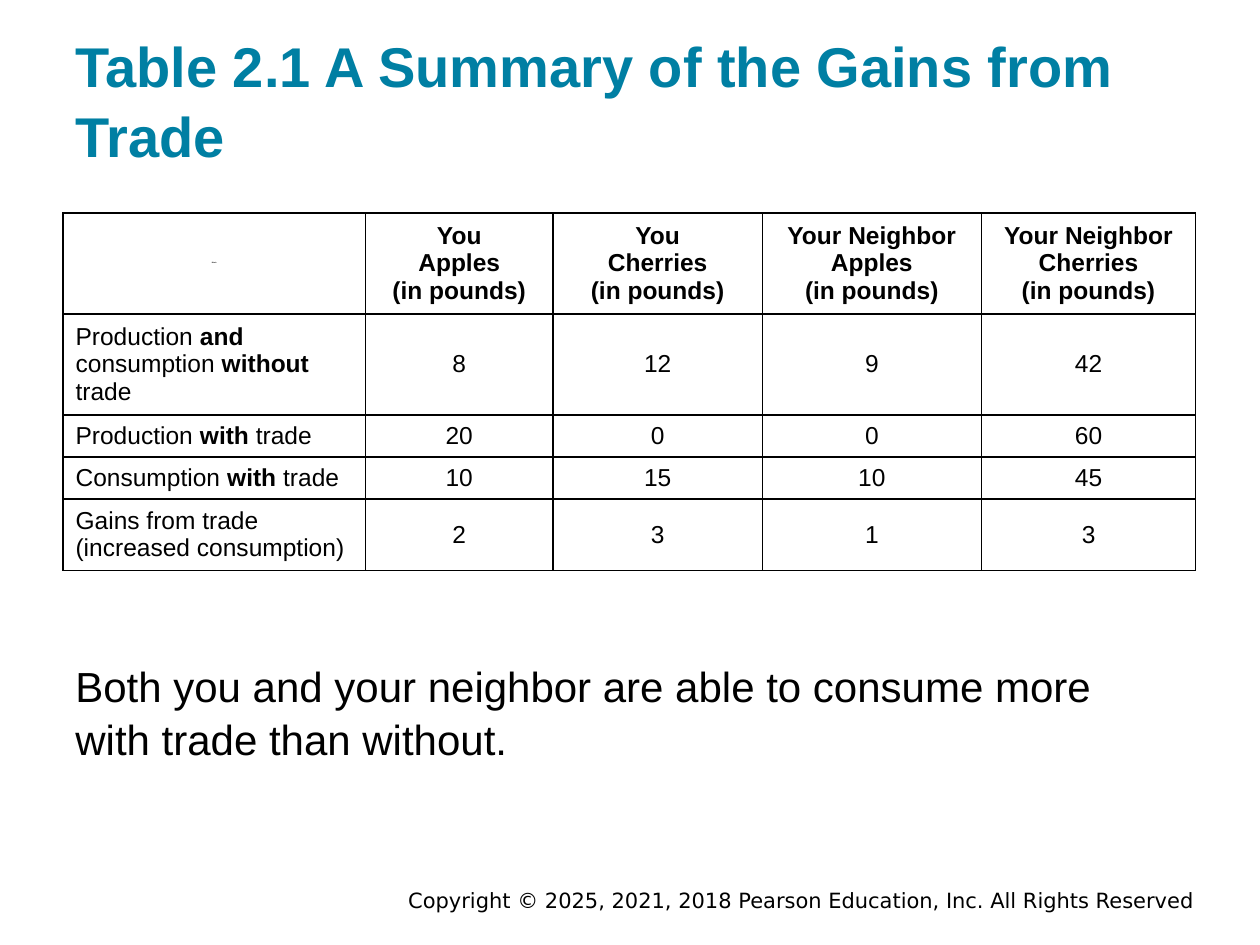
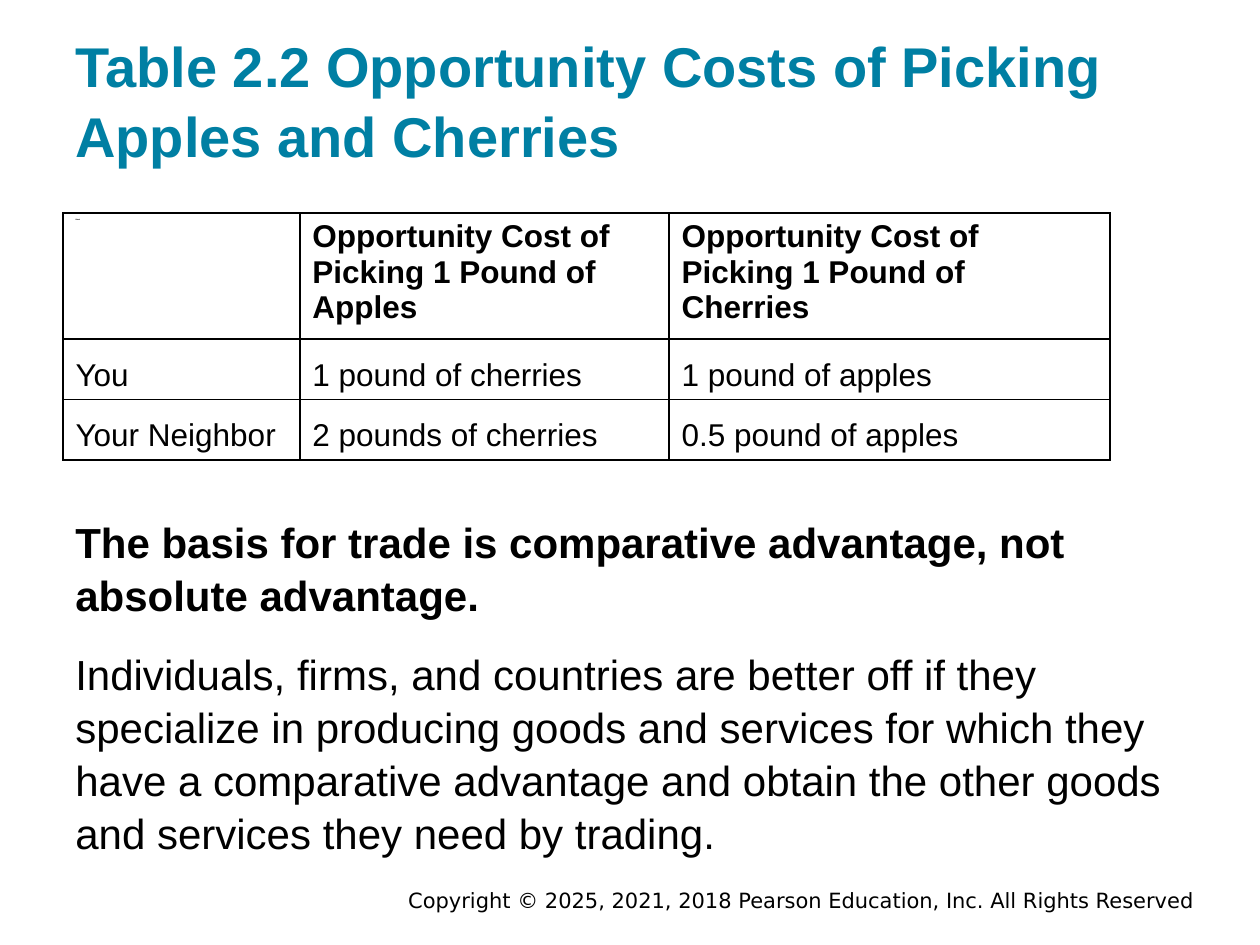
"""Builds two slides on the gains from trade and opportunity costs."""
from lxml import etree
from pptx import Presentation
from pptx import util as u
from pptx.dml.color import RGBColor
from pptx.enum import text
from pptx.oxml import ns

TEAL = RGBColor(0x00, 0x7F, 0xA3)
BLACK = RGBColor(0x00, 0x00, 0x00)
FONT = "Arial"
FOOTER_FONT = "DejaVu Sans"
PX = 9144
LEFT, CENTER, RIGHT = text.PP_ALIGN.LEFT, text.PP_ALIGN.CENTER, text.PP_ALIGN.RIGHT
TOP, MIDDLE, BOTTOM = text.MSO_ANCHOR.TOP, text.MSO_ANCHOR.MIDDLE, text.MSO_ANCHOR.BOTTOM
COPYRIGHT = "Copyright © 2025, 2021, 2018 Pearson Education, Inc. All Rights Reserved"


def px(*lengths):
    return [u.Emu(length * PX) for length in lengths]


class TradeDeck:
    """Holds the shared style and the current slide; *stars* in a line mark bold."""

    def __init__(self):
        self.deck = Presentation()
        self.deck.slide_width, self.deck.slide_height = px(1000, 750)
        self.page = None

    def add_page(self, title):
        self.page = self.deck.slides.add_slide(self.deck.slide_layouts[6])
        self.add_text((175, 703, 783, 22), [COPYRIGHT], 12, font=FOOTER_FONT,
                      align=RIGHT, anchor=MIDDLE, inset=5)
        self.add_text((50, 24, 900, 120), [f"*{title}*"], 32, color=TEAL,
                      anchor=BOTTOM, spacing=1.05)

    def fill_frame(self, frame, lines, size, color=BLACK, font=FONT, align=LEFT,
                   spacing=1.0, before=0):
        for number, line in enumerate(lines):
            para = frame.add_paragraph() if number else frame.paragraphs[0]
            para.alignment = align
            para.line_spacing = spacing
            para.space_before = u.Pt(before if number else 0)
            for index, words in enumerate(line.split("*")):
                if words:
                    span = para.add_run()
                    span.text = words
                    span.font.name = font
                    span.font.size = u.Pt(size)
                    span.font.bold = index % 2 == 1
                    span.font.color.rgb = color

    def add_text(self, place, lines, size, anchor=TOP, inset=10, **style):
        frame = self.page.shapes.add_textbox(*px(*place)).text_frame
        frame.word_wrap = True
        frame.vertical_anchor = anchor
        frame.margin_left, frame.margin_right = px(10, 10)
        frame.margin_top, frame.margin_bottom = px(inset, inset)
        self.fill_frame(frame, lines, size, **style)

    def add_body(self, place, lines):
        self.add_text(place, lines, 24, spacing=1.05, before=15)

    def add_table(self, widths, heights, rows, size, value_align, head_anchor, row_anchor):
        table = self.page.shapes.add_table(
            len(rows), len(widths), *px(50, 169, sum(widths), sum(heights))).table
        table.first_row = table.horz_banding = False
        for column, width in zip(table.columns, px(*widths)):
            column.width = width
        for row, height in zip(table.rows, px(*heights)):
            row.height = height
        for r, row in enumerate(rows):
            for c, content in enumerate(row):
                cell = table.cell(r, c)
                self.add_borders(cell)
                cell.fill.background()
                cell.vertical_anchor = row_anchor if r else head_anchor
                corner = r == 0 and c == 0
                self.fill_frame(cell.text_frame, content.split("\n"), 1 if corner else size,
                                align=LEFT if r and c == 0 else value_align)

    def add_borders(self, cell):
        properties = cell._tc.get_or_add_tcPr()
        for side in ("lnL", "lnR", "lnT", "lnB"):
            line = etree.SubElement(properties, ns.qn(f"a:{side}"), w=str(u.Pt(1)))
            fill = etree.SubElement(line, ns.qn("a:solidFill"))
            etree.SubElement(fill, ns.qn("a:srgbClr"), val=str(BLACK))


def main():
    show = TradeDeck()

    show.add_page("Table 2.1 A Summary of the Gains from Trade")
    gains_head = ["*Blank*"] + [f"*{who}*\n*{fruit}*\n*(in pounds)*"
                                for who in ("You", "Your Neighbor")
                                for fruit in ("Apples", "Cherries")]
    gains = [
        gains_head,
        ["Production *and* consumption *without *trade", "8", "12", "9", "42"],
        ["Production *with *trade", "20", "0", "0", "60"],
        ["Consumption *with *trade", "10", "15", "10", "45"],
        ["Gains from trade (increased consumption)", "2", "3", "1", "3"],
    ]
    show.add_table([240, 149, 166, 174, 170], [76, 76, 32, 32, 54], gains, 14,
                   CENTER, MIDDLE, MIDDLE)
    show.add_body((50, 512, 877, 109), [
        "Both you and your neighbor are able to consume more with trade than without."])

    show.add_page("Table 2.2 Opportunity Costs of Picking Apples and Cherries")
    costs = [
        ["*Blank*"] + [f"*Opportunity Cost of Picking 1 Pound of {fruit}*"
                       for fruit in ("Apples", "Cherries")],
        ["You", "1 pound of cherries", "1 pound of apples"],
        ["Your Neighbor", "2 pounds of cherries", "0.5 pound of apples"],
    ]
    show.add_table([188, 293, 350], [94, 48, 48], costs, 18, LEFT, TOP, BOTTOM)
    show.add_body((50, 398, 900, 282), [
        "*The basis for trade is comparative advantage, not absolute advantage.*",
        "Individuals, firms, and countries are better off if they specialize in producing "
        "goods and services for which they have a comparative advantage and obtain the "
        "other goods and services they need by trading."])

    show.deck.save("out.pptx")


if __name__ == "__main__":
    main()
